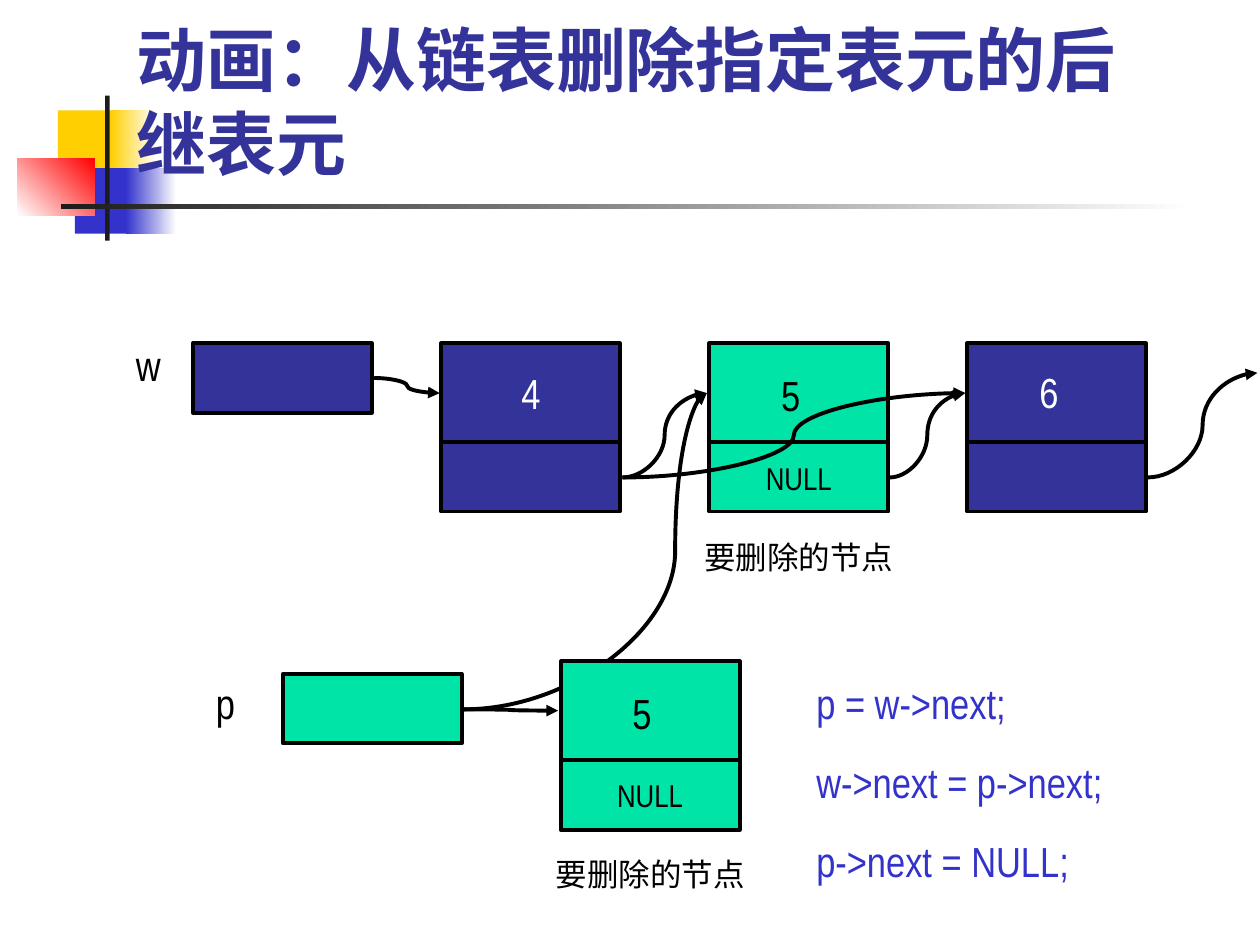
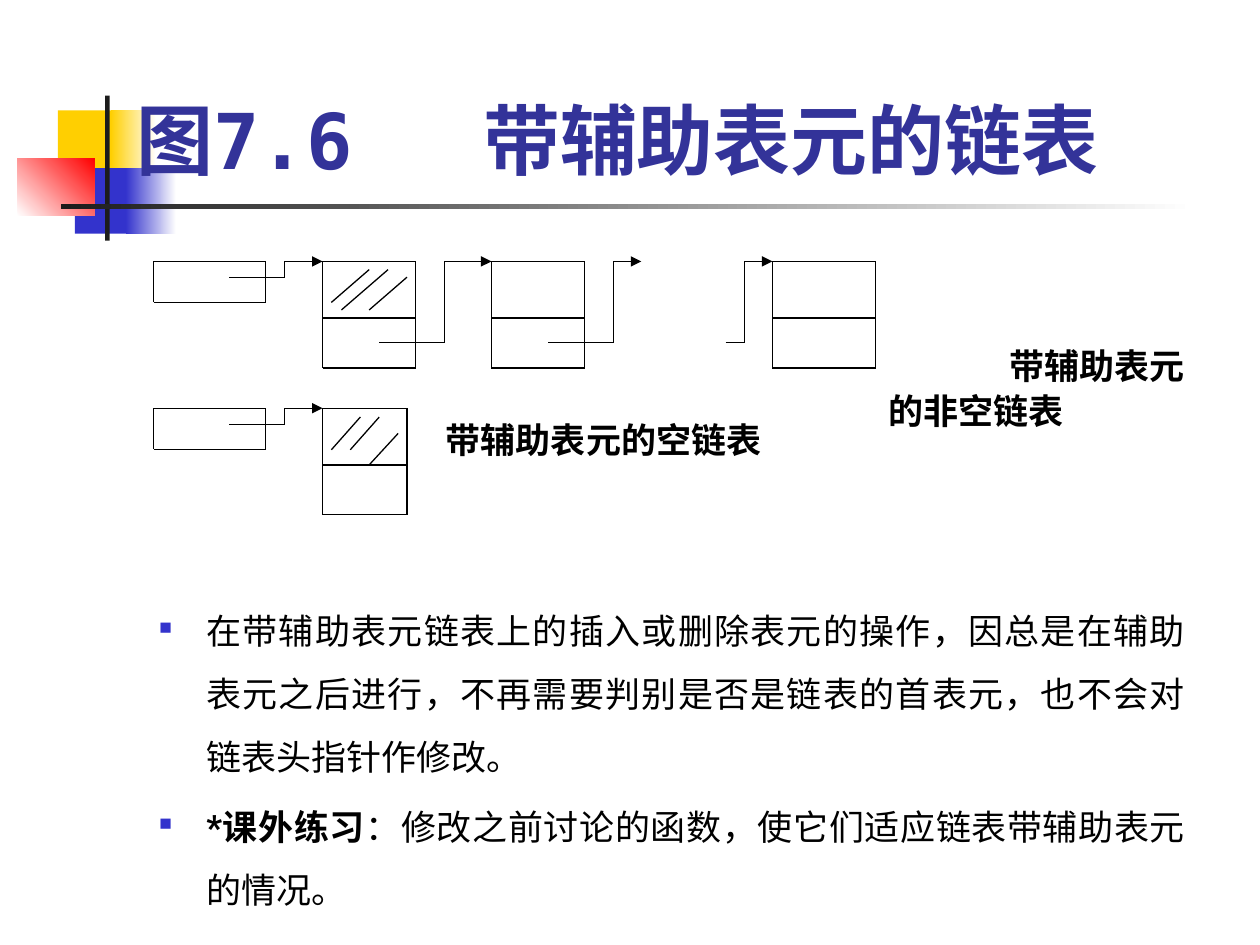
import itertools

import pptx
import pptx.dml.color
import pptx.enum.shapes
import pptx.enum.text
import pptx.oxml.ns
import pptx.util
from lxml import etree

COLORS = {
    "white": "FFFFFF", "black": "000000", "ink": "1C1C1C", "yellow": "FFCF01",
    "blue": "3333CC", "red": "FF0000", "navy": "333399", "green": "00E4A8",
}
COLS, ROWS = 100, 75
SHAPES = pptx.enum.shapes.MSO_SHAPE
LINES = pptx.enum.shapes.MSO_CONNECTOR
ALIGN = pptx.enum.text.PP_ALIGN
ANCHOR = pptx.enum.text.MSO_ANCHOR


def rgb(name):
    """Return the colour with this name."""
    return pptx.dml.color.RGBColor.from_string(COLORS[name])


def add_xml(parent, tag, **attributes):
    """Append one DrawingML element."""
    return etree.SubElement(parent, pptx.oxml.ns.qn(tag), attributes)


def write(p, text, size=24, color="black", font="Arial Narrow", asian=None, bold=False,
          align=None):
    """Append a formatted run to a paragraph."""
    if align is not None:
        p.alignment = align
    r = p.add_run()
    r.text = text
    r.font.size = pptx.util.Pt(size)
    r.font.name = font
    r.font.bold = bold
    r.font.color.rgb = rgb(color)
    add_xml(r._r.get_or_add_rPr(), "a:ea", typeface=asian or font)


class Deck:
    """Hold the style and the current slide."""

    def __init__(self):
        """Start a presentation of 10 by 7.5 inches."""
        self.prs = pptx.Presentation()
        self.prs.slide_width = pptx.util.Inches(10)
        self.prs.slide_height = pptx.util.Inches(7.5)
        self.s = None

    def x(self, col):
        """Convert columns to a length."""
        return round(self.prs.slide_width * col / COLS)

    def y(self, row):
        """Convert rows to a length."""
        return round(self.prs.slide_height * row / ROWS)

    def box(self, col, row, width, height):
        """Convert a grid area to lengths."""
        return self.x(col), self.y(row), self.x(width), self.y(height)

    def slide(self, title, size, tab=None):
        """Add a slide with the shared decoration and a title."""
        self.s = self.prs.slides.add_slide(self.prs.slide_layouts[6])
        self.rect(4.6, 8.75, 4.8, 5.2, "yellow")
        self.rect(8.8, 8.75, 3.6, 5.2, ("yellow", "white"))
        self.rect(5.95, 13.35, 4.6, 5.2, "blue")
        self.rect(10, 13.35, 4, 5.2, ("blue", "white"))
        self.rect(1.4, 12.55, 6.1, 4.6, ("white", "red"), angle=45)
        self.rect(8.35, 7.6, 0.35, 11.5, "ink")
        self.rect(4.85, 16.2, 90, 0.4, ("ink", "white"))
        tf = self.text(9.85, 3.65, 85.2, 11.5, title, size=size, color="navy",
                       font="DejaVu Sans Mono", bold=True)
        tf.vertical_anchor = ANCHOR.BOTTOM
        if tab:
            tabs = add_xml(tf.paragraphs[0]._p.get_or_add_pPr(), "a:tabLst")
            add_xml(tabs, "a:tab", pos=str(self.x(tab)), algn="l")

    def rect(self, col, row, width, height, fill, line=None, angle=0):
        """Add a rectangle with a plain or gradient fill."""
        sp = self.s.shapes.add_shape(SHAPES.RECTANGLE, *self.box(col, row, width, height))
        sp.shadow.inherit = False
        if isinstance(fill, tuple):
            sp.fill.gradient()
            sp.fill.gradient_angle = angle
            for stop, name, position in zip(sp.fill.gradient_stops, fill, (0, 1)):
                stop.color.rgb = rgb(name)
                stop.position = position
        else:
            sp.fill.solid()
            sp.fill.fore_color.rgb = rgb(fill)
        if line:
            sp.line.color.rgb = rgb("black")
            sp.line.width = pptx.util.Pt(line)
        else:
            sp.line.fill.background()

    def node(self, col, row, width, heights, fill, line):
        """Add a filled list node made of stacked cells."""
        for height in heights:
            self.rect(col, row, width, height, fill, line)
            row += height

    def connect(self, kind, start, end, width=0.75, bend=None, arrow=False):
        """Add a connector, with an arrowhead and a bend if asked."""
        sp = self.s.shapes.add_connector(
            kind, self.x(start[0]), self.y(start[1]), self.x(end[0]), self.y(end[1]))
        sp.line.color.rgb = rgb("black")
        sp.line.width = pptx.util.Pt(width)
        if arrow:
            add_xml(sp.line._get_or_add_ln(), "a:tailEnd", type="triangle")
        if bend is not None:
            guides = sp._element.spPr.prstGeom.get_or_add_avLst()
            add_xml(guides, "a:gd", name="adj1", fmla=f"val {round(bend * 100000)}")
        add_xml(sp._element.spPr, "a:effectLst")

    def trace(self, *points, arrow=False):
        """Join points by thin straight lines, the last with an arrowhead if asked."""
        for start, end in itertools.pairwise(points):
            self.connect(LINES.STRAIGHT, start, end, arrow=arrow and end == points[-1])

    def outline(self, left, top, right, bottom, divider=None):
        """Trace a box, with a divider row if asked."""
        self.trace((left, top), (right, top), (right, bottom), (left, bottom), (left, top))
        if divider:
            self.trace((left, divider), (right, divider))

    def step(self, start, turn, end):
        """Trace a stepped arrow that turns at a column."""
        self.trace(start, (turn, start[1]), (turn, end[1]), end, arrow=True)

    def text(self, col, row, width, height, text, **style):
        """Add a wrapping text box and return its frame."""
        tf = self.s.shapes.add_textbox(*self.box(col, row, width, height)).text_frame
        tf.word_wrap = True
        write(tf.paragraphs[0], text, **style)
        return tf

    def bullets(self, col, row, width, height, items):
        """Add justified bullets, each a list of runs and bold flags."""
        tf = self.s.shapes.add_textbox(*self.box(col, row, width, height)).text_frame
        tf.word_wrap = True
        for i, runs in enumerate(items):
            p = tf.paragraphs[0] if i == 0 else tf.add_paragraph()
            p.line_spacing = 1.5
            p.space_after = pptx.util.Pt(4)
            for text, bold in runs:
                write(p, text, size=20, font="Roboto", bold=bold, align=ALIGN.JUSTIFY)
            pPr = p._p.get_or_add_pPr()
            pPr.set("marL", str(self.x(3.75)))
            pPr.set("indent", str(-self.x(3.75)))
            add_xml(add_xml(pPr, "a:buClr"), "a:srgbClr", val=COLORS["blue"])
            add_xml(pPr, "a:buSzPct", val="50000")
            add_xml(pPr, "a:buChar", char="■")


def deletion_slide(deck):
    """Draw the removal of a node's successor."""
    deck.slide("动画：从链表删除指定表元的后继表元", 40)
    cells, width, stroke = (7.85, 5.5), 14.2, 2.25
    deck.rect(15.3, 27.25, width, 5.5, "navy", stroke)
    deck.rect(22.45, 53.5, width, 5.5, "green", stroke)
    for col, fill in ((35, "navy"), (56.3, "green"), (76.75, "navy")):
        deck.node(col, 27.25, width, cells, fill, stroke)

    top, link, pointer = 31.2, 37.9, 56.3
    for start, end, bend in (
        ((70.6, link), (76.6, top), 0.5),
        ((49.4, link), (56.1, top), 0.5),
        ((36.8, pointer), (56.1, top), 0.87),
        ((49.4, link), (76.6, top), 0.5),
        ((91.1, link), (99.8, 29.6), 0.5),
        ((29.7, 30), (34.9, top), 0.5),
        ((36.8, pointer), (44.3, 56.4), 0.5),
    ):
        deck.connect(LINES.CURVE, start, end, stroke, bend, arrow=True)
    deck.node(44.5, 52.5, width, cells, "green", stroke)

    for col, row, text, color in (
        (9.8, 26.45, "w", "black"), (16.15, 53.25, "p", "black"),
        (40.4, 28.65, "4", "white"), (61, 28.8, "5", "black"),
        (81.5, 28.6, "6", "white"), (49.2, 54.05, "5", "black"),
    ):
        deck.text(col, row, 5.5, 5, text, color=color)
    for center, row in ((63.4, 35.9), (51.6, 61.1)):
        deck.text(center - 5.5, row, 11, 4, "NULL", size=18, align=ALIGN.CENTER)
        deck.text(center - 10.25, row + 6.3, 20.5, 4, "要删除的节点", size=18,
                  align=ALIGN.CENTER)
    for i, code in enumerate(("p = w->next;", "w->next = p->next;", "p->next = NULL;")):
        deck.text(63.8, 53.25 + 6.3 * i, 36.2, 5, code, color="blue")


def sentinel_slide(deck):
    """Draw the lists with a sentinel node."""
    deck.slide("图7.6\t带辅助表元的链表", 44, tab=27.5)
    top, link = 20.75, 27.2
    for row, right in ((top, 33), (32.4, 32.3)):
        deck.outline(12.2, row, 21.1, row + 3.25)
        deck.outline(25.6, row, right, row + 8.45, row + 4.5)
        deck.step((18.2, row + 1.3), 22.6, (25.6, row))
    for left, right in ((39, 46.4), (61.3, 69.5)):
        deck.outline(left, top, right, top + 8.45, top + 4.5)
    for start, turn, end in ((30.1, 35.3, 39), (43.5, 48.7, 50.9), (57.6, 59.1, 61.3)):
        deck.step((start, link), turn, (end, top))
    for start, end in (
        ((29.3, 21.4), (26.3, 24)), ((30.8, 21.4), (27.1, 24.6)),
        ((32.3, 22), (29.3, 24.6)), ((28.6, 33.1), (26.3, 35.7)),
        ((30.1, 33.1), (27.8, 35.7)), ((31.6, 34.4), (29.3, 36.9)),
    ):
        deck.trace(start, end)

    label = {"size": 20, "font": "Times New Roman", "asian": "Roboto", "bold": True}
    tf = deck.text(69.5, 26.6, 27.2, 8, "带辅助表元的非空链表", **label)
    tf.paragraphs[0].line_spacing = 1.07
    tf.paragraphs[0]._p.get_or_add_pPr().set("indent", str(deck.x(9.6)))
    deck.text(34.4, 32.75, 28, 5, "带辅助表元的空链表", **label)
    deck.bullets(11.65, 46.2, 83.4, 23.6, [
        [("在带辅助表元链表上的插入或删除表元的操作，因总是在辅助表元之后进行，"
          "不再需要判别是否是链表的首表元，也不会对链表头指针作修改。", False)],
        [("*课外练习", True),
         ("：修改之前讨论的函数，使它们适应链表带辅助表元的情况。", False)],
    ])


def main():
    """Build both slides and save them."""
    deck = Deck()
    deletion_slide(deck)
    sentinel_slide(deck)
    deck.prs.save("out.pptx")


if __name__ == "__main__":
    main()
